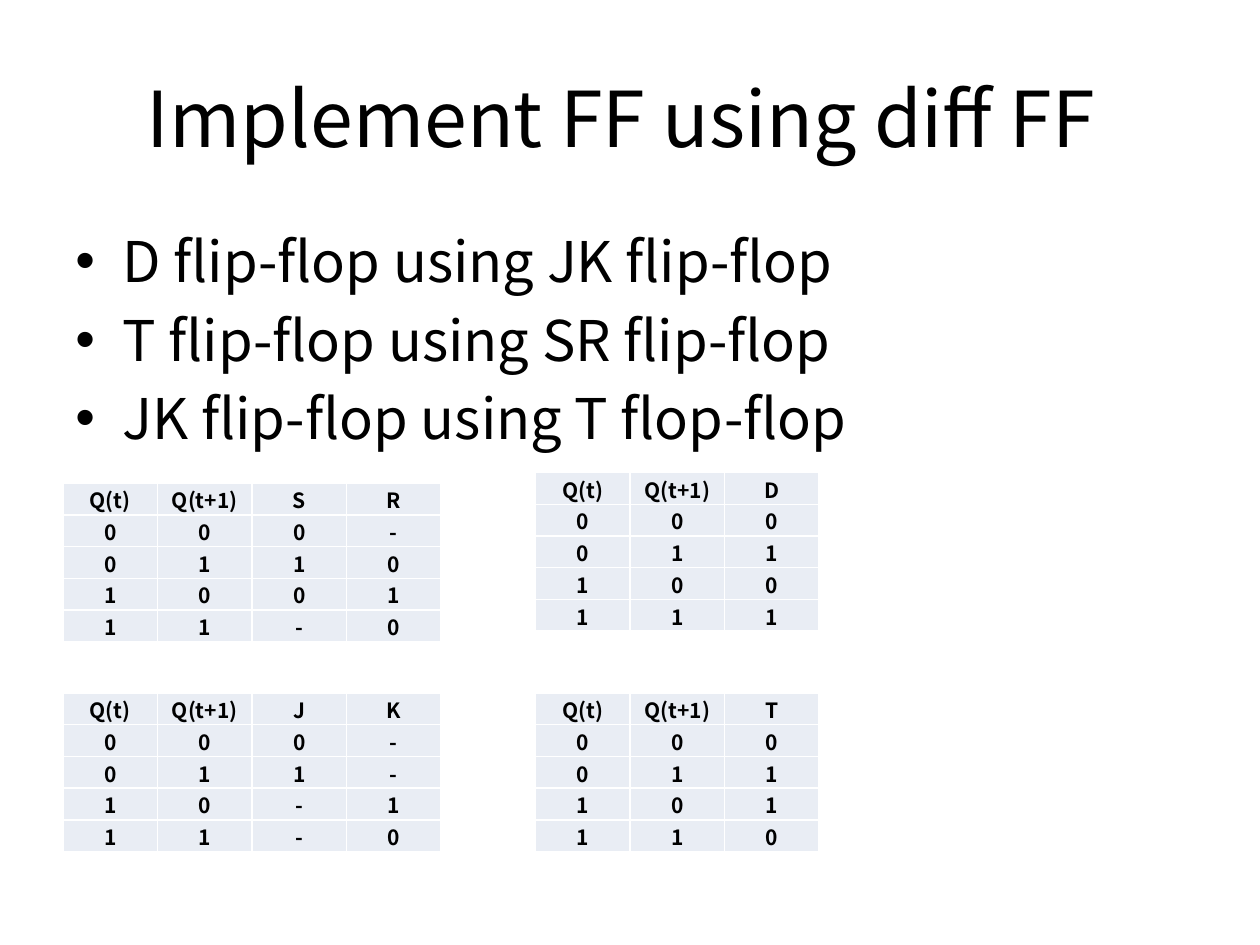
import pptx
import pptx.dml.color
import pptx.enum.text
import pptx.util
from lxml import etree

Pt = pptx.util.Pt
ALIGN = pptx.enum.text.PP_ALIGN
ANCHOR = pptx.enum.text.MSO_ANCHOR
BLACK = pptx.dml.color.RGBColor(0x00, 0x00, 0x00)
CELL_FILL = pptx.dml.color.RGBColor(0xE9, 0xED, 0xF4)
BORDER = pptx.dml.color.RGBColor(0xFF, 0xFF, 0xFF)
FONT = "Noto Sans CJK KR"
COLUMN_WIDTH = 54
ROW_HEIGHT = 18.15


def style_paragraph(paragraph, size, bold=False, alignment=ALIGN.CENTER):
    """Set the font and alignment of a paragraph."""
    paragraph.alignment = alignment
    paragraph.font.name = FONT
    paragraph.font.size = Pt(size)
    paragraph.font.bold = bold
    paragraph.font.color.rgb = BLACK


def add_borders(cell):
    """Draw a thin line on all four sides of a cell, before its fill in the XML order."""
    properties = cell._tc.get_or_add_tcPr()
    for position, side in enumerate(("lnL", "lnR", "lnT", "lnB")):
        line = etree.Element(pptx.oxml.ns.qn(f"a:{side}"), w=str(Pt(1)))
        fill = etree.SubElement(line, pptx.oxml.ns.qn("a:solidFill"))
        etree.SubElement(fill, pptx.oxml.ns.qn("a:srgbClr"), val=str(BORDER))
        properties.insert(position, line)


presentation = pptx.Presentation()
presentation.slide_width = Pt(720)
presentation.slide_height = Pt(540)
slide = presentation.slides.add_slide(presentation.slide_layouts[6])

title = slide.shapes.add_textbox(Pt(36), Pt(21.6), Pt(648), Pt(90)).text_frame
title.word_wrap = True
title.vertical_anchor = ANCHOR.MIDDLE
title.text = "Implement FF using diff FF "
style_paragraph(title.paragraphs[0], 44)

body = slide.shapes.add_textbox(Pt(36), Pt(126), Pt(648), Pt(356.4)).text_frame
body.word_wrap = True
body.text = "\n".join((
    "D flip-flop using JK flip-flop",
    "T flip-flop using SR flip-flop",
    "JK flip-flop using T flop-flop",
))
for paragraph in body.paragraphs:
    style_paragraph(paragraph, 32, alignment=ALIGN.LEFT)
    paragraph.space_before = Pt(6.4)
    properties = paragraph._p.get_or_add_pPr()
    properties.set("marL", str(Pt(27)))
    properties.set("indent", str(Pt(-27)))
    bullet_font = etree.SubElement(properties, pptx.oxml.ns.qn("a:buFont"), typeface="Arial")
    bullet = etree.SubElement(properties, pptx.oxml.ns.qn("a:buChar"), char="•")
    default_run = properties.find(pptx.oxml.ns.qn("a:defRPr"))
    default_run.addprevious(bullet_font)
    default_run.addprevious(bullet)

# Each table: left, top, input names, and the inputs for each state change.
STATE_CHANGES = ("00", "01", "10", "11")
excitation_tables = (
    (36, 276, "SR", ("0-", "10", "01", "-0")),
    (306, 270, "D", ("0", "1", "0", "1")),
    (36, 396, "JK", ("0-", "1-", "-1", "-0")),
    (306, 396, "T", ("0", "1", "1", "0")),
)
for left, top, input_names, inputs in excitation_tables:
    rows = [["Q(t)", "Q(t+1)", *input_names]]
    rows += [list(change + values) for change, values in zip(STATE_CHANGES, inputs)]
    column_count = len(rows[0])
    table = slide.shapes.add_table(
        len(rows), column_count, Pt(left), Pt(top),
        Pt(column_count * COLUMN_WIDTH), Pt(len(rows) * ROW_HEIGHT),
    ).table
    table.first_row = False
    table.horz_banding = False
    for column in table.columns:
        column.width = Pt(COLUMN_WIDTH)
    for row_index, row in enumerate(rows):
        table.rows[row_index].height = Pt(ROW_HEIGHT)
        for column_index, text in enumerate(row):
            cell = table.cell(row_index, column_index)
            cell.text = text
            cell.margin_left = cell.margin_right = cell.margin_top = Pt(0.72)
            cell.margin_bottom = Pt(0)
            cell.vertical_anchor = ANCHOR.MIDDLE
            cell.fill.solid()
            cell.fill.fore_color.rgb = CELL_FILL
            add_borders(cell)
            style_paragraph(cell.text_frame.paragraphs[0], 12, bold=True)

presentation.save("out.pptx")
